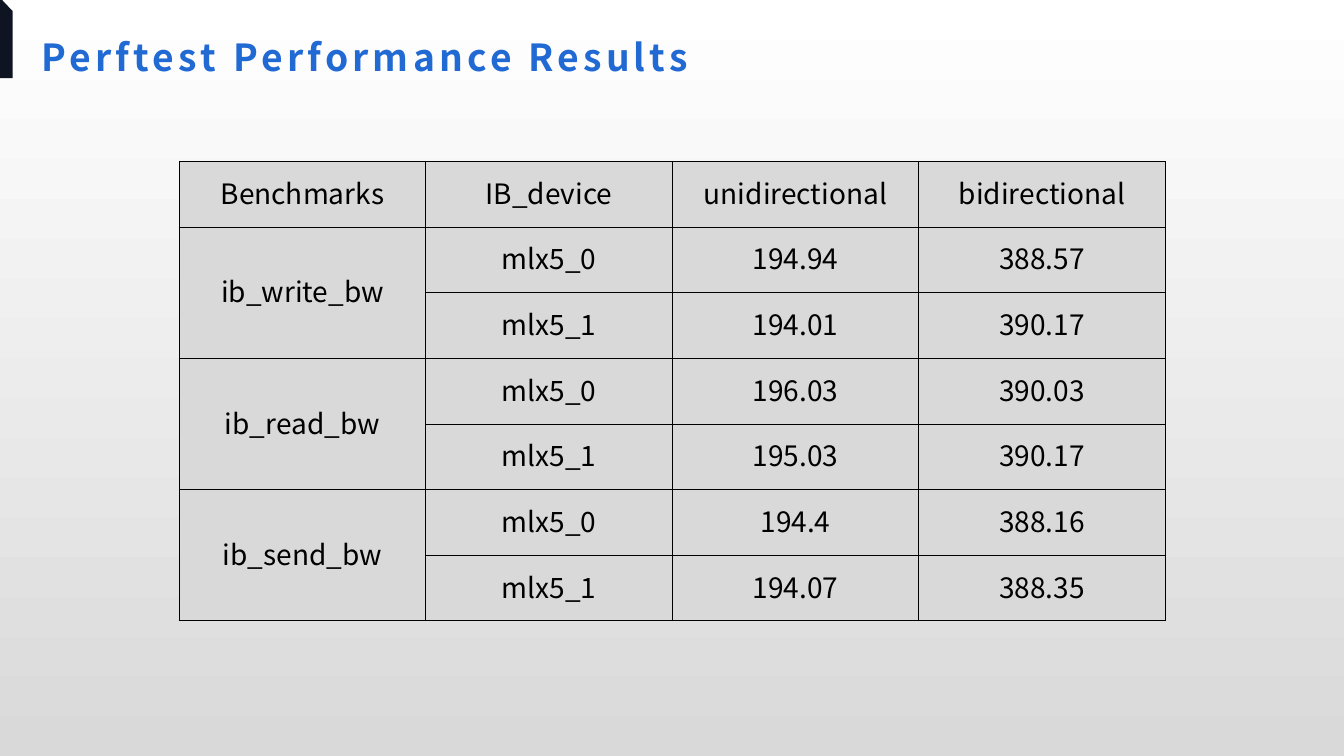
from lxml.etree import SubElement
from pptx import Presentation
from pptx.dml.color import RGBColor as RGB
from pptx.enum.shapes import MSO_SHAPE as Shape
from pptx.enum.text import MSO_ANCHOR as Anchor, PP_ALIGN as Align
from pptx.oxml.ns import qn
from pptx.util import Pt

COLORS = {"title": "2169D3", "mark": "0F1423", "text": "000000",
          "line": "000000", "cell": "D9D9D9", "top": "FFFFFF", "base": "D9D9D9"}
FONT = "Noto Sans CJK SC"


def color(name):
    return RGB.from_string(COLORS[name])


def style(run, name, size, bold=False):
    for key, value in {"name": FONT, "size": Pt(size), "bold": bold}.items():
        setattr(run.font, key, value)
    run.font.color.rgb = color(name)


deck = Presentation()
deck.slide_width, deck.slide_height = Pt(960), Pt(540)
slide = deck.slides.add_slide(deck.slide_layouts[6])

# Background gradient, top to bottom
back = slide.background.fill
back.gradient()
back.gradient_angle = 270
for stop, name in zip(back.gradient_stops, ("top", "base")):
    stop.color.rgb = color(name)

# Dark mark at the top left corner, each part turned a quarter
marks = [
    (Shape.RECTANGLE, -20.2, 26.7, 48.3, 10),
    (Shape.OVAL, -2.2, 0.7, 5, 2.2),
    (Shape.ISOSCELES_TRIANGLE, -3.6, 3.6, 16.6, 7.9),
    (Shape.RECTANGLE, -7.2, 7.9, 16.6, 3.6),
]
for kind, *box in marks:
    mark = slide.shapes.add_shape(kind, *map(Pt, box))
    mark.rotation = 90
    mark.shadow.inherit = False
    mark.fill.solid()
    mark.fill.fore_color.rgb = color("mark")
    mark.line.fill.background()

# Title
title = slide.shapes.add_textbox(Pt(23.8), Pt(7.9), Pt(828), Pt(51.1))
frame = title.text_frame
edges = {"margin_left": Pt(5.8), "margin_right": Pt(5.8),
         "margin_top": Pt(2.9), "margin_bottom": Pt(2.9)}
for key, value in {"word_wrap": True, "vertical_anchor": Anchor.BOTTOM, **edges}.items():
    setattr(frame, key, value)
run = frame.paragraphs[0].add_run()
run.text = "Perftest Performance Results"
style(run, "title", 26.6, True)
run.font._element.set("spc", "300")

# Results table: each benchmark spans two device rows
results = [
    ("Benchmarks", "IB_device", "unidirectional", "bidirectional"),
    ("ib_write_bw", "mlx5_0", "194.94", "388.57"),
    ("", "mlx5_1", "194.01", "390.17"),
    ("ib_read_bw", "mlx5_0", "196.03", "390.03"),
    ("", "mlx5_1", "195.03", "390.17"),
    ("ib_send_bw", "mlx5_0", "194.4", "388.16"),
    ("", "mlx5_1", "194.07", "388.35"),
]
grid = slide.shapes.add_table(7, 4, Pt(128), Pt(115.2), Pt(704.4), Pt(328.3)).table
grid.first_row = grid.horz_banding = False
for col in grid.columns:
    col.width = Pt(176.1)
for row in grid.rows:
    row.height = Pt(46.9)
for top in range(1, 7, 2):
    grid.cell(top, 0).merge(grid.cell(top + 1, 0))

layout = {"margin_left": Pt(0.7), "margin_right": Pt(0.7), "margin_top": Pt(0.7),
          "margin_bottom": Pt(3.6), "vertical_anchor": Anchor.MIDDLE}
for r, values in enumerate(results):
    for c, value in enumerate(values):
        cell = grid.cell(r, c)
        for key, setting in layout.items():
            setattr(cell, key, setting)
        props = cell._tc.get_or_add_tcPr()
        for side in ("lnL", "lnR", "lnT", "lnB"):
            line = SubElement(props, qn("a:" + side), w=str(Pt(0.5)))
            paint = SubElement(line, qn("a:solidFill"))
            SubElement(paint, qn("a:srgbClr"), val=COLORS["line"])
        cell.fill.solid()
        cell.fill.fore_color.rgb = color("cell")
        if value:
            para = cell.text_frame.paragraphs[0]
            para.alignment = Align.CENTER
            run = para.add_run()
            run.text = value
            style(run, "text", 20)

deck.save("out.pptx")
